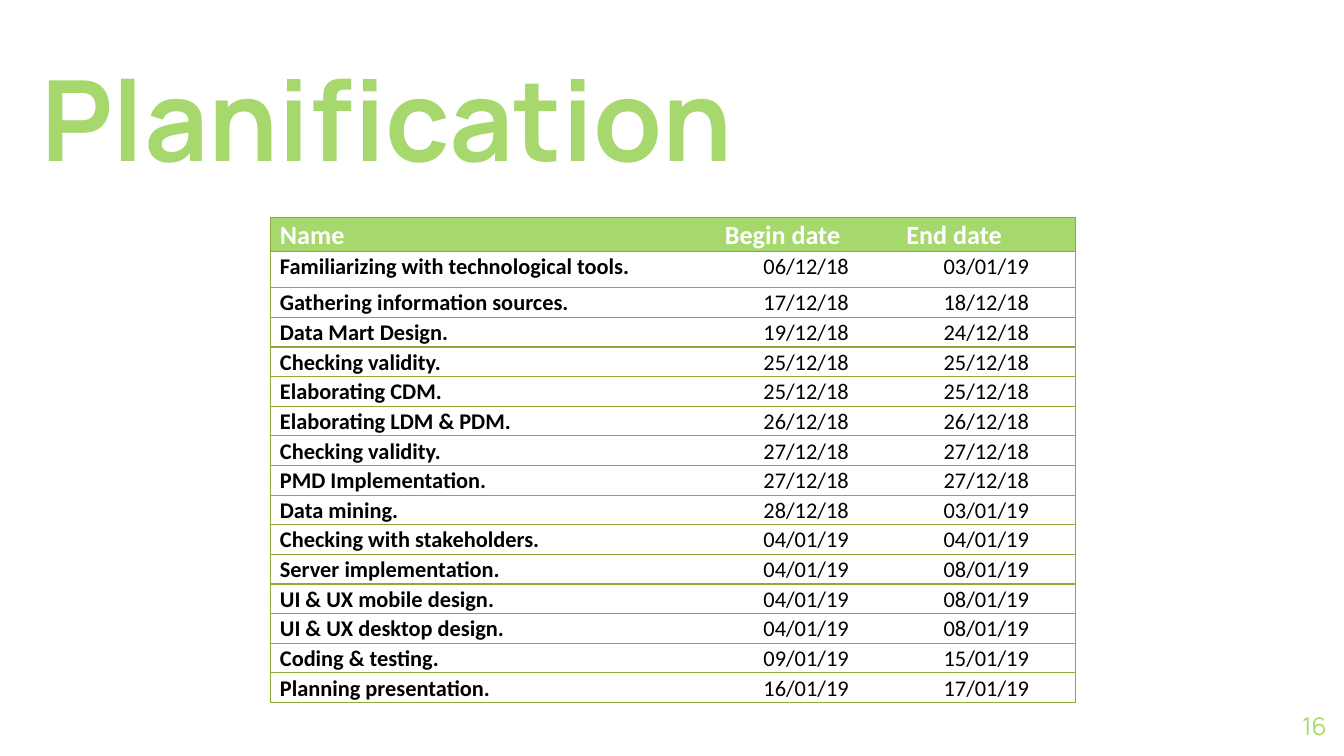
from lxml import etree
from pptx import Presentation
from pptx.dml.color import RGBColor
from pptx.enum import text
from pptx.oxml import ns
from pptx.util import Cm, Pt

LIME = RGBColor(0xA7, 0xD8, 0x6D)
OLIVE = RGBColor(0x89, 0xAA, 0x3E)
WHITE = RGBColor(0xFF, 0xFF, 0xFF)
BLACK = RGBColor(0x00, 0x00, 0x00)

HEADINGS = ("Name", "Begin date", "End date")
TASKS = [
    ("Familiarizing with technological tools.", "06/12/18", "03/01/19"),
    ("Gathering information sources.", "17/12/18", "18/12/18"),
    ("Data Mart Design.", "19/12/18", "24/12/18"),
    ("Checking validity.", "25/12/18", "25/12/18"),
    ("Elaborating CDM.", "25/12/18", "25/12/18"),
    ("Elaborating LDM & PDM.", "26/12/18", "26/12/18"),
    ("Checking validity.", "27/12/18", "27/12/18"),
    ("PMD Implementation.", "27/12/18", "27/12/18"),
    ("Data mining.", "28/12/18", "03/01/19"),
    ("Checking with stakeholders.", "04/01/19", "04/01/19"),
    ("Server implementation.", "04/01/19", "08/01/19"),
    ("UI & UX mobile design.", "04/01/19", "08/01/19"),
    ("UI & UX desktop design.", "04/01/19", "08/01/19"),
    ("Coding & testing.", "09/01/19", "15/01/19"),
    ("Planning presentation.", "16/01/19", "17/01/19"),
]
COLUMN_WIDTHS = (8.41, 3.43, 3.38)
ROW_HEIGHTS = [0.64, 0.69] + [0.56] * (len(TASKS) - 1)


def write(frame, words, font_name, size, color, bold=False, align=text.PP_ALIGN.LEFT):
    frame.text = words
    paragraph = frame.paragraphs[0]
    paragraph.alignment = align
    font = paragraph.runs[0].font
    font.name = font_name
    font.size = Pt(size)
    font.bold = bold
    font.color.rgb = color
    return paragraph


def add_title(slide):
    title = slide.shapes.title
    title.left, title.top, title.width, title.height = Cm(0.53), Cm(0.81), Cm(14.76), Cm(2.82)
    frame = title.text_frame
    frame.word_wrap = False
    frame.auto_size = text.MSO_AUTO_SIZE.NONE
    frame.vertical_anchor = text.MSO_ANCHOR.TOP
    write(frame, "Planification", "Manrope", 60, LIME, bold=True)


def add_page_number(slide):
    frame = slide.shapes.add_textbox(Cm(23.55), Cm(13.18), Cm(1.52), Cm(1.09)).text_frame
    frame.margin_left = frame.margin_right = frame.margin_top = frame.margin_bottom = 0
    frame.word_wrap = True
    frame.vertical_anchor = text.MSO_ANCHOR.MIDDLE
    write(frame, "16", "Manrope", 13, LIME, align=text.PP_ALIGN.RIGHT)


def set_borders(cell, visible):
    properties = cell._tc.get_or_add_tcPr()
    for position, side in enumerate("LRTB"):
        border = etree.Element(ns.qn(f"a:ln{side}"), w=str(Pt(0.75)))
        if side in visible:
            fill = etree.SubElement(border, ns.qn("a:solidFill"))
            etree.SubElement(fill, ns.qn("a:srgbClr"), val=str(OLIVE))
        else:
            etree.SubElement(border, ns.qn("a:noFill"))
        properties.insert(position, border)


def fill_cell(cell, words, is_header, column):
    cell.margin_left = cell.margin_right = Cm(0.18)
    cell.margin_top = cell.margin_bottom = 0
    if is_header:
        cell.fill.solid()
        cell.fill.fore_color.rgb = LIME
        size, color = 14, WHITE
    else:
        cell.fill.background()
        size, color = 12, BLACK
    is_date = column > 0 and not is_header
    align = text.PP_ALIGN.CENTER if is_date else text.PP_ALIGN.LEFT
    paragraph = write(cell.text_frame, words, "Calibri", size, color, not is_date, align)
    paragraph.line_spacing = 1.07
    outer_sides = {0: "L", len(HEADINGS) - 1: "R"}
    set_borders(cell, "TB" + outer_sides.get(column, ""))


def add_schedule(slide):
    entries = [HEADINGS] + TASKS
    schedule = slide.shapes.add_table(
        len(entries), len(HEADINGS), Cm(5.11), Cm(4.11),
        Cm(sum(COLUMN_WIDTHS)), Cm(sum(ROW_HEIGHTS))).table
    schedule.horz_banding = False
    for column, width in zip(schedule.columns, COLUMN_WIDTHS):
        column.width = Cm(width)
    for row, height in zip(schedule.rows, ROW_HEIGHTS):
        row.height = Cm(height)
    for row_index, entry in enumerate(entries):
        for column, words in enumerate(entry):
            fill_cell(schedule.cell(row_index, column), words, row_index == 0, column)


def main():
    deck = Presentation()
    deck.slide_width, deck.slide_height = Cm(25.4), Cm(14.29)
    slide = deck.slides.add_slide(deck.slide_layouts[5])
    add_page_number(slide)
    add_title(slide)
    add_schedule(slide)
    deck.save("out.pptx")


if __name__ == "__main__":
    main()
